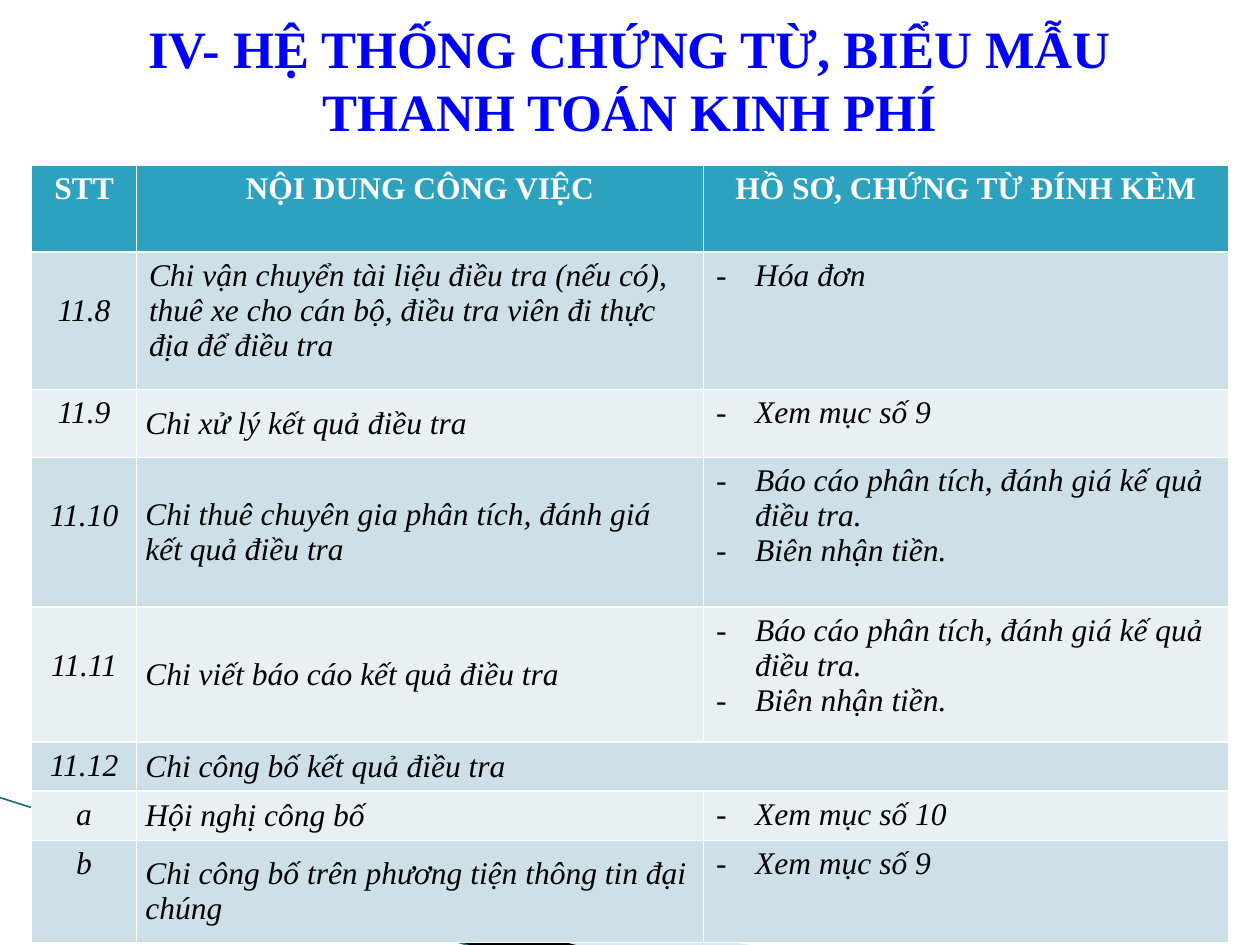
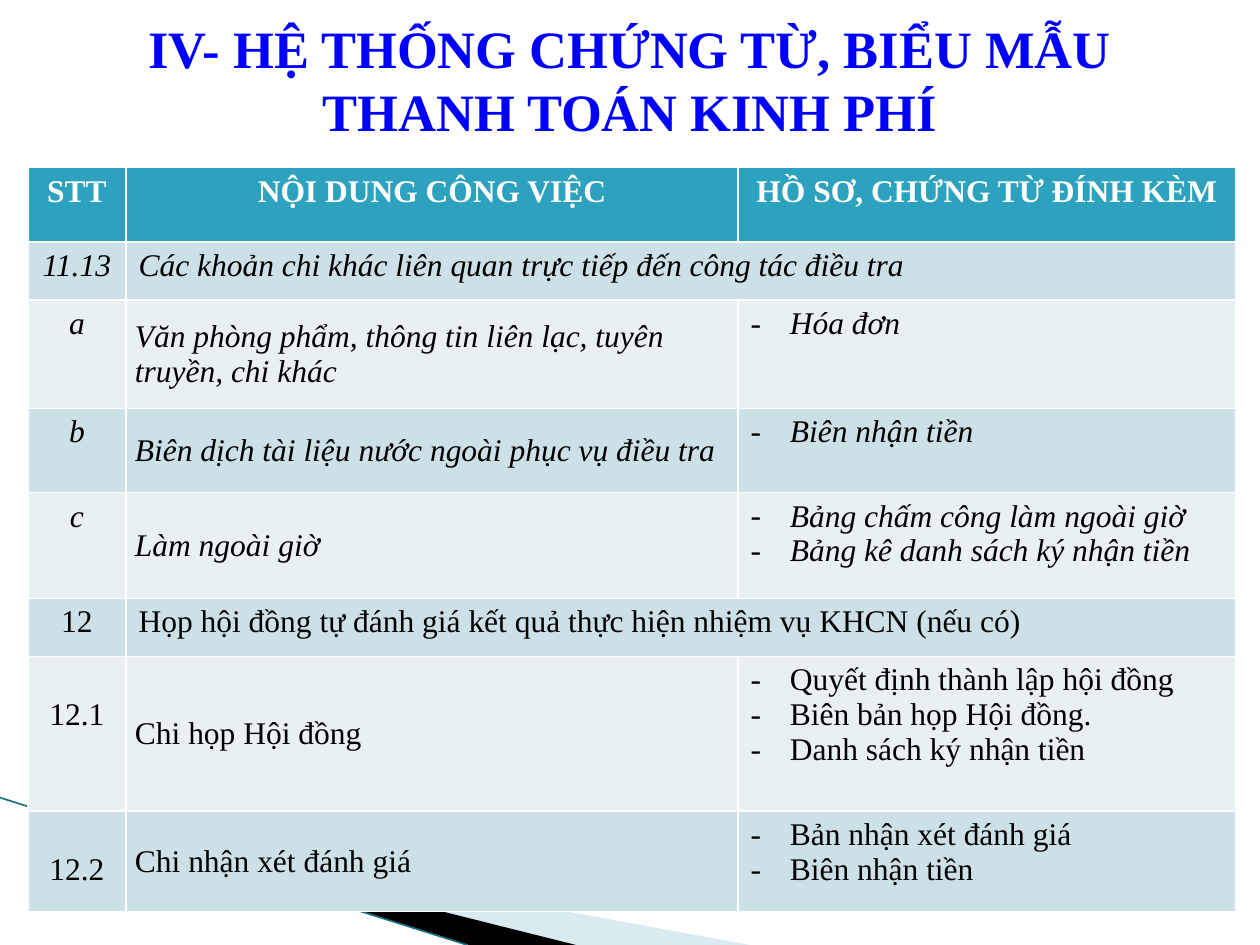
import dataclasses

import lxml.etree
import pptx
import pptx.dml.color
import pptx.enum.shapes
import pptx.enum.text
import pptx.oxml.ns
import pptx.util

Cm = pptx.util.Cm
Pt = pptx.util.Pt
Color = pptx.dml.color.RGBColor
Align = pptx.enum.text.PP_ALIGN
Anchor = pptx.enum.text.MSO_ANCHOR
qn = pptx.oxml.ns.qn


@dataclasses.dataclass(frozen=True)
class Theme:
    font: str = "Times New Roman"
    title_size: int = 30
    table_size: int = 18
    title: Color = Color(0x00, 0x00, 0xFF)
    header: Color = Color(0x2D, 0xA2, 0xBF)
    header_text: Color = Color(0xFF, 0xFF, 0xFF)
    text: Color = Color(0x00, 0x00, 0x00)
    odd_row: Color = Color(0xCD, 0xE0, 0xE8)
    even_row: Color = Color(0xE8, 0xF0, 0xF4)
    light_wedge: Color = Color(0xA0, 0xCB, 0xDC)
    dark_wedge: Color = Color(0x00, 0x00, 0x00)
    wedge_line: Color = Color(0x1B, 0x6F, 0x83)


theme = Theme()


def write(frame, text, size=theme.table_size, color=theme.text, bold=False,
          italic=False, align=Align.LEFT, bullet=None):
    for index, line in enumerate(text.split("\n")):
        paragraph = frame.add_paragraph() if index else frame.paragraphs[0]
        paragraph.alignment = align
        run = paragraph.add_run()
        run.text = line
        run.font.name = theme.font
        run.font.size = Pt(size)
        run.font.bold = bold
        run.font.italic = italic
        run.font.color.rgb = color
        if bullet:
            properties = paragraph._p.get_or_add_pPr()
            properties.set("marL", str(Cm(0.79)))
            properties.set("indent", str(-Cm(0.79)))
            lxml.etree.SubElement(properties, qn("a:buFont"), typeface=theme.font)
            lxml.etree.SubElement(properties, qn("a:buChar"), char=bullet)


TITLE = "IV- HỆ THỐNG CHỨNG TỪ, BIỂU MẪU THANH TOÁN KINH PHÍ"
HEADINGS = ["STT", "NỘI DUNG CÔNG VIỆC", "HỒ SƠ, CHỨNG TỪ ĐÍNH KÈM"]
ANALYSIS_PAPERS = "Báo cáo phân tích, đánh giá kế quả điều tra.\nBiên nhận tiền."
LOWERED_NUMBERS = {"11.8", "11.10", "11.11", "12.1", "12.2"}
TOP_WORK = {"11.8", "11.13", "12"}

tables = [
    {
        "position": (0.64, 3.33),
        "widths": [2.11, 11.43, 10.58],
        "header_height": 1.75,
        "rows": [
            (2.77, "11.8", "Chi vận chuyển tài liệu điều tra (nếu có), thuê xe cho cán bộ, "
                           "điều tra viên đi thực địa để điều tra", "Hóa đơn"),
            (1.37, "11.9", "Chi xử lý kết quả điều tra", "Xem mục số 9"),
            (3.02, "11.10", "Chi thuê chuyên gia phân tích, đánh giá kết quả điều tra",
             ANALYSIS_PAPERS),
            (2.72, "11.11", "Chi viết báo cáo kết quả điều tra", ANALYSIS_PAPERS),
            (0.99, "11.12", "Chi công bố kết quả điều tra", None),
            (0.99, "a", "Hội nghị công bố", "Xem mục số 10"),
            (2.06, "b", "Chi công bố trên phương tiện thông tin đại chúng", "Xem mục số 9"),
        ],
    },
    {
        "position": (0.56, 3.38),
        "widths": [1.98, 12.34, 10.03],
        "header_height": 1.5,
        "rows": [
            (1.17, "11.13", "Các khoản chi khác liên quan trực tiếp đến công tác điều tra", None),
            (2.18, "a", "Văn phòng phẩm, thông tin liên lạc, tuyên truyền, chi khác", "Hóa đơn"),
            (1.7, "b", "Biên dịch tài liệu nước ngoài phục vụ điều tra", "Biên nhận tiền"),
            (2.13, "c", "Làm ngoài giờ",
             "Bảng chấm công làm ngoài giờ\nBảng kê danh sách ký nhận tiền"),
            (1.17, "12", "Họp hội đồng tự đánh giá kết quả thực hiện nhiệm vụ KHCN (nếu có)", None),
            (3.12, "12.1", "Chi họp Hội đồng",
             "Quyết định thành lập hội đồng\nBiên bản họp Hội đồng.\nDanh sách ký nhận tiền"),
            (2.03, "12.2", "Chi nhận xét đánh giá", "Bản nhận xét đánh giá\nBiên nhận tiền"),
        ],
    },
]

wedges = [
    (theme.light_wedge, 40, [(1.4, 16.54), (15.11, 19.05), (11.58, 19.05), (1.4, 16.51)]),
    (theme.dark_wedge, 100, [(1.35, 16.48), (11.61, 19.05), (9.45, 19.05), (1.37, 16.51)]),
]

presentation = pptx.Presentation()
presentation.slide_width = Cm(25.4)
presentation.slide_height = Cm(19.05)
layout = presentation.slide_layouts[5]
slides = [presentation.slides.add_slide(layout) for table_data in tables]

decorations = []
for color, opacity, corners in wedges:
    points = [(Cm(x), Cm(y)) for x, y in corners]
    builder = slides[0].shapes.build_freeform(*points[0])
    builder.add_line_segments(points[1:], close=True)
    wedge = builder.convert_to_shape()
    wedge.shadow.inherit = False
    wedge.line.fill.background()
    wedge.fill.solid()
    wedge.fill.fore_color.rgb = color
    color_element = wedge.element.spPr.find(f"{qn('a:solidFill')}/{qn('a:srgbClr')}")
    lxml.etree.SubElement(color_element, qn("a:alpha"), val=str(opacity * 1000))
    decorations.append(wedge)

edge = slides[0].shapes.add_connector(
    pptx.enum.shapes.MSO_CONNECTOR.STRAIGHT, Cm(0), Cm(16.08), Cm(9.42), Cm(19.05))
edge.line.color.rgb = theme.wedge_line
edge.line.width = Pt(0.95)
lxml.etree.SubElement(edge.element.spPr, qn("a:effectLst"))
decorations.append(edge)

for number, decoration in enumerate(decorations, start=101):
    decoration.element.xpath(".//p:cNvPr")[0].set("id", str(number))
    layout.shapes.element.append(decoration.element)

for slide, table_data in zip(slides, tables):
    title = slide.shapes.title
    title.left, title.top, title.width, title.height = Cm(1.27), Cm(0), Cm(22.86), Cm(3.18)
    title.text_frame.vertical_anchor = Anchor.MIDDLE
    title.text_frame.word_wrap = True
    write(title.text_frame, TITLE, size=theme.title_size, color=theme.title,
          bold=True, align=Align.CENTER)

    heights = [table_data["header_height"]] + [row[0] for row in table_data["rows"]]
    left, top = table_data["position"]
    table = slide.shapes.add_table(
        len(heights), len(HEADINGS), Cm(left), Cm(top),
        Cm(sum(table_data["widths"])), Cm(sum(heights))).table
    for column, width in zip(table.columns, table_data["widths"]):
        column.width = Cm(width)
    for index, (row, height) in enumerate(zip(table.rows, heights)):
        row.height = Cm(height)
        for cell in row.cells:
            cell.fill.solid()
            cell.fill.fore_color.rgb = (
                theme.header if index == 0 else theme.odd_row if index % 2 else theme.even_row)

    for cell, heading in zip(table.rows[0].cells, HEADINGS):
        write(cell.text_frame, heading, color=theme.header_text, bold=True, align=Align.CENTER)

    for index, (height, number, work, papers) in enumerate(table_data["rows"], start=1):
        number_cell, work_cell, papers_cell = table.rows[index].cells
        italic = not number.startswith("12")
        write(number_cell.text_frame, number, italic=italic, align=Align.CENTER)
        if number in LOWERED_NUMBERS:
            number_cell.margin_top = Cm(0.83)
        write(work_cell.text_frame, work, italic=italic)
        if number not in TOP_WORK:
            work_cell.vertical_anchor = Anchor.MIDDLE
            work_cell.margin_left = work_cell.margin_right = Cm(0.18)
            work_cell.margin_top = work_cell.margin_bottom = Cm(0)
        if papers:
            write(papers_cell.text_frame, papers, italic=italic, bullet="-")
        else:
            work_cell.merge(papers_cell)

presentation.save("out.pptx")
